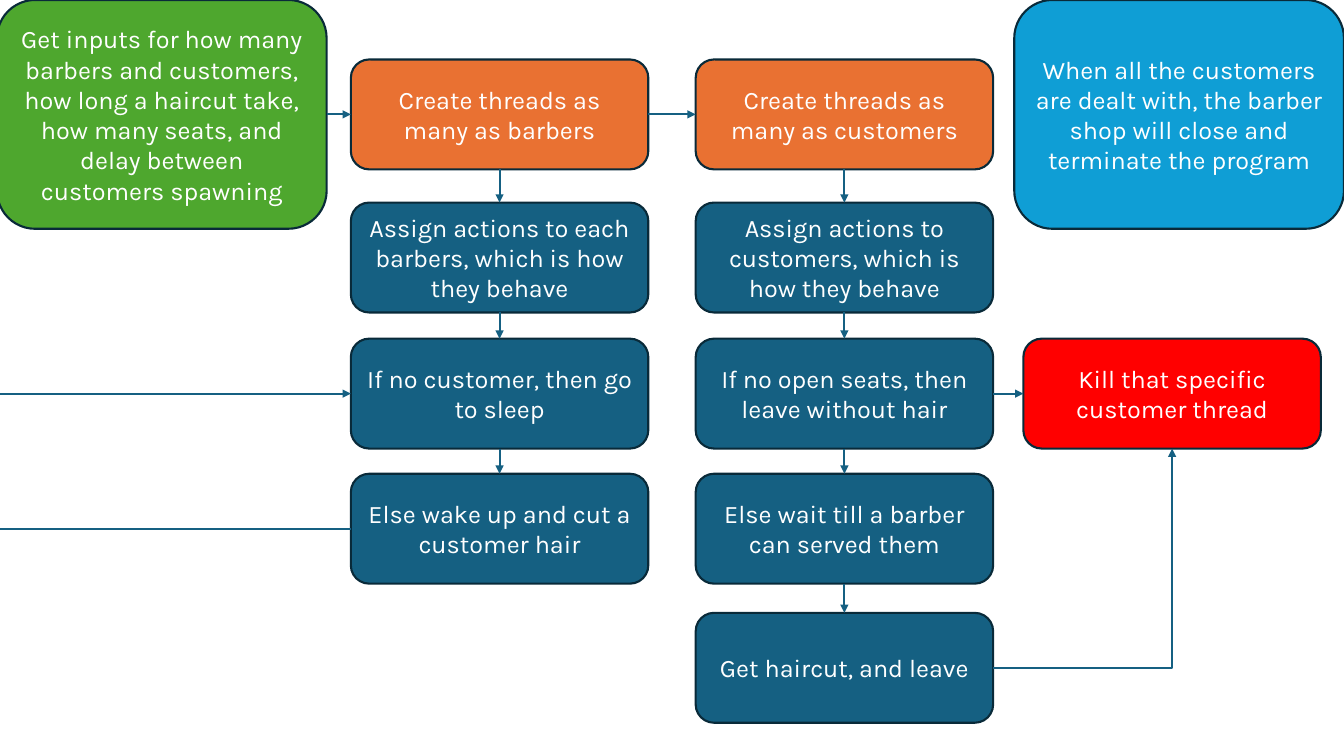
import itertools

import pptx
import pptx.dml.color
import pptx.enum.shapes
import pptx.enum.text
import pptx.oxml.ns
import pptx.util
from lxml import etree

Inches = pptx.util.Inches
COLORS = {
    "input": "4EA72E",
    "create": "E97132",
    "action": "156082",
    "kill": "FF0000",
    "finish": "0F9ED5",
    "outline": "092A39",
    "arrow": "156082",
    "text": "FFFFFF",
}
STEP_SIZE = (2.95, 1.09)
ROW_OFFSETS = (0, 1.42, 2.77, 4.11, 5.49)
TOP, LEFT, BOTTOM, RIGHT = range(4)


def rgb(name):
    """Return the named colour."""
    return pptx.dml.color.RGBColor.from_string(COLORS[name])


def write_text(shape, text, size=18, font="Karla", color="text"):
    """Write centred, wrapped text into a shape."""
    frame = shape.text_frame
    frame.word_wrap = True
    frame.vertical_anchor = pptx.enum.text.MSO_ANCHOR.MIDDLE
    paragraph = frame.paragraphs[0]
    paragraph.alignment = pptx.enum.text.PP_ALIGN.CENTER
    run = paragraph.add_run()
    run.text = text
    run.font.size = pptx.util.Pt(size)
    run.font.name = font
    run.font.color.rgb = rgb(color)


def add_step(slide, box, text, color):
    """Add one rounded step of the flow."""
    step = slide.shapes.add_shape(
        pptx.enum.shapes.MSO_SHAPE.ROUNDED_RECTANGLE, *map(Inches, box)
    )
    step.shadow.inherit = False
    step.fill.solid()
    step.fill.fore_color.rgb = rgb(color)
    step.line.color.rgb = rgb("outline")
    step.line.width = pptx.util.Pt(1.5)
    write_text(step, text)
    return step


def add_line(slide, start, end, arrow=True, kind="STRAIGHT"):
    """Add a connector between two points in EMU."""
    line = slide.shapes.add_connector(
        pptx.enum.shapes.MSO_CONNECTOR[kind], *start, *end
    )
    line.line.color.rgb = rgb("arrow")
    line.line.width = pptx.util.Pt(1.5)
    if arrow:
        tail = etree.SubElement(
            line.line._get_or_add_ln(), pptx.oxml.ns.qn("a:tailEnd")
        )
        tail.set("type", "triangle")
    etree.SubElement(line._element.spPr, pptx.oxml.ns.qn("a:effectLst"))
    return line


def link(slide, source, source_side, target, target_side, kind="STRAIGHT"):
    """Glue an arrow from a side of one step to a side of another."""
    arrow = add_line(slide, (0, 0), (0, 0), kind=kind)
    arrow.begin_connect(source, source_side)
    arrow.end_connect(target, target_side)
    return arrow


def add_column(slide, left, top, texts):
    """Add a column of steps joined downwards, headed by thread creation."""
    steps = [
        add_step(
            slide,
            (left, top + offset, *STEP_SIZE),
            text,
            "action" if row else "create",
        )
        for row, (offset, text) in enumerate(zip(ROW_OFFSETS, texts))
    ]
    for upper, lower in itertools.pairwise(steps):
        link(slide, upper, BOTTOM, lower, TOP)
    return steps


def add_barber_loop(slide, sleep, cut):
    """Run the loop from cutting back to sleeping past the slide edge."""
    for step, arrow in ((cut, False), (sleep, True)):
        middle = step.top + step.height // 2
        add_line(slide, (0, middle), (step.left, middle), arrow=arrow)


def add_kill(slide, left, top, leave, done):
    """Add the thread's end with arrows from both ways of leaving."""
    kill = add_step(
        slide, (left, top, *STEP_SIZE), "Kill that specific customer thread", "kill"
    )
    link(slide, leave, RIGHT, kill, LEFT)
    elbow = link(slide, done, RIGHT, kill, BOTTOM, kind="ELBOW")
    elbow._element.spPr.find(pptx.oxml.ns.qn("a:prstGeom")).set(
        "prst", "bentConnector2"
    )


def build_flowchart(slide, top=0.59):
    """Build the whole barber shop flowchart."""
    inputs = add_step(
        slide,
        (-0.03, 0, 3.27, 2.27),
        "Get inputs for how many barbers and customers, how long a haircut take, "
        "how many seats, and delay between customers spawning",
        "input",
    )
    barbers = add_column(slide, 3.48, top, (
        "Create threads as many as barbers",
        "Assign actions to each barbers, which is how they behave",
        "If no customer, then go to sleep",
        "Else wake up and cut a customer hair",
    ))
    customers = add_column(slide, 6.9, top, (
        "Create threads as many as customers",
        "Assign actions to customers, which is how they behave",
        "If no open seats, then leave without hair",
        "Else wait till a barber can served them",
        "Get haircut, and leave",
    ))
    link(slide, inputs, RIGHT, barbers[0], LEFT)
    link(slide, barbers[0], RIGHT, customers[0], LEFT)
    add_barber_loop(slide, barbers[2], barbers[3])
    add_kill(slide, 10.15, top + ROW_OFFSETS[2], customers[2], customers[4])
    add_step(
        slide,
        (10.06, 0, 3.27, 2.27),
        "When all the customers are dealt with, the barber shop will close "
        "and terminate the program",
        "finish",
    )


def main():
    """Create and save the presentation."""
    deck = pptx.Presentation()
    deck.slide_width = Inches(13.33)
    deck.slide_height = Inches(7.5)
    build_flowchart(deck.slides.add_slide(deck.slide_layouts[6]))
    deck.save("out.pptx")


if __name__ == "__main__":
    main()
